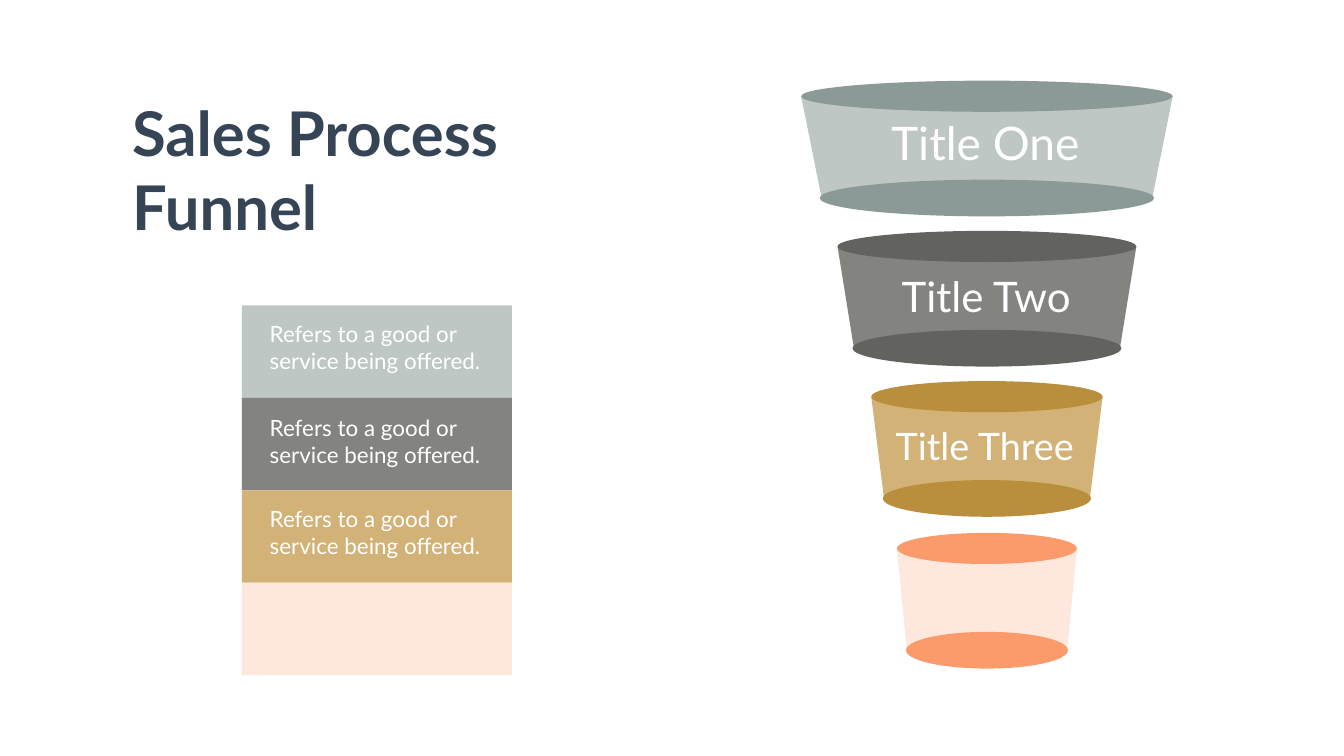
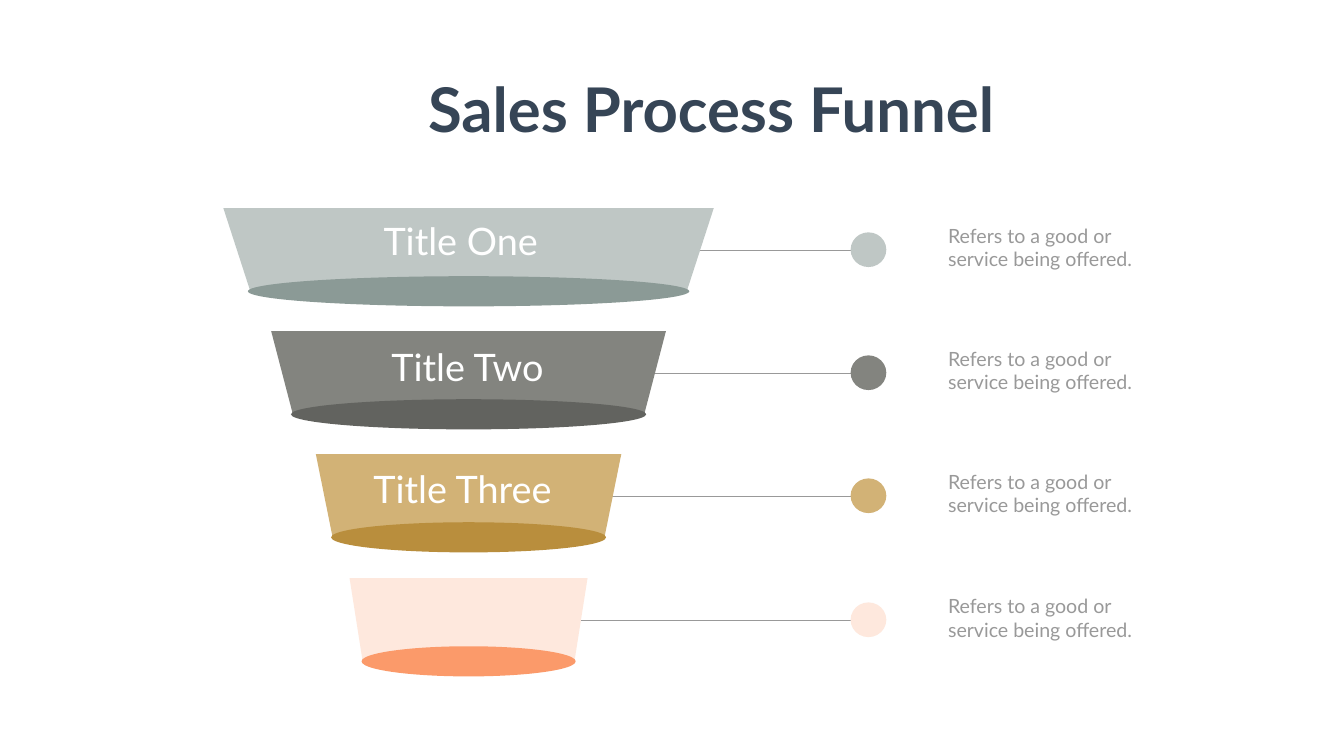
from dataclasses import dataclass

from lxml import etree
from pptx import Presentation
from pptx.dml.color import RGBColor
from pptx.enum.shapes import MSO_CONNECTOR, MSO_SHAPE
from pptx.enum.text import MSO_ANCHOR, MSO_AUTO_SIZE, PP_ALIGN
from pptx.oxml.ns import qn
from pptx.util import Cm, Pt

OVAL = MSO_SHAPE.OVAL
RECTANGLE = MSO_SHAPE.RECTANGLE
STRAIGHT = MSO_CONNECTOR.STRAIGHT
TOP = MSO_ANCHOR.TOP
NO_AUTOFIT = MSO_AUTO_SIZE.NONE
LEFT, CENTER = PP_ALIGN.LEFT, PP_ALIGN.CENTER

FONT = "Lato"
NAVY, WHITE, GRAY = "364556", "FFFFFF", "999999"
LIGHTS = ["BFC7C5", "83847F", "D2B276", "FEE8DD"]
DARKS = ["8B9A96", "62635F", "B98E3D", "FB9A6A"]
DESCRIPTION = "Refers to a good or\nservice being offered."
TITLE_ONLY = 5
BODY_TAPER, BASE_TAPER = 0.89, 0.9


@dataclass
class Stage:
    top: float
    width: float
    name: str = ""
    size: int = 0
    label_shift: float = 0
    label_drop: float = 0
    label_width: float = 0


@dataclass
class Funnel:
    center: float
    body_height: float
    lid_height: float
    base_height: float
    stages: list


CUP_FUNNEL = Funnel(49.73, 5.13, 1.57, 1.85, [
    Stage(4.85, 18.72, "Title One", 66, 0, 0.79, 10.16),
    Stage(12.42, 15.06, "Title Two", 60, 0.14, 1.09, 9.37),
    Stage(19.99, 11.66, "Title Three", 54, 0, 1.19, 9.7),
    Stage(27.64, 9.07),
])
FLAT_FUNNEL = Funnel(23.61, 4.19, 0, 1.52, [
    Stage(10.49, 24.71, "Title One", 54, -0.37, 0.36, 8.33),
    Stage(16.69, 19.89, "Title Two", 54, 0, 0.51, 8.28),
    Stage(22.89, 15.39, "Title Three", 54, -0.18, 0.46, 9.73),
    Stage(29.14, 11.99),
])


def rgb(color):
    return RGBColor.from_string(color)


def paint(shape, color):
    shape.shadow.inherit = False
    shape.fill.solid()
    shape.fill.fore_color.rgb = rgb(color)
    shape.line.fill.background()


def add_block(slide, kind, left, top, width, height, color):
    block = slide.shapes.add_shape(kind, Cm(left), Cm(top), Cm(width), Cm(height))
    paint(block, color)


def write(box, text, size, color, bold=False, align=LEFT):
    frame = box.text_frame
    frame.text = text
    frame.word_wrap = True
    frame.auto_size = NO_AUTOFIT
    frame.vertical_anchor = TOP
    for para in frame.paragraphs:
        para.alignment = align
        para.font.name = FONT
        para.font.size = Pt(size)
        para.font.bold = bold
        para.font.color.rgb = rgb(color)


def add_text(slide, left, top, width, height, text, size, color):
    box = slide.shapes.add_textbox(Cm(left), Cm(top), Cm(width), Cm(height))
    write(box, text, size, color)


def add_slide(deck, title, left, top, width, height, align):
    slide = deck.slides.add_slide(deck.slide_layouts[TITLE_ONLY])
    heading = slide.shapes.title
    heading.left, heading.top = Cm(left), Cm(top)
    heading.width, heading.height = Cm(width), Cm(height)
    write(heading, title, 88, NAVY, True, align)
    return slide


def add_body(slide, center, top, width, height, color):
    half, foot = width / 2, width * BODY_TAPER / 2
    corners = [(center + half, top), (center + foot, top + height), (center - foot, top + height)]
    outline = slide.shapes.build_freeform(Cm(center - half), Cm(top))
    outline.add_line_segments([(Cm(x), Cm(y)) for x, y in corners])
    paint(outline.convert_to_shape(), color)


def add_disc(slide, center, middle, width, height, color):
    add_block(slide, OVAL, center - width / 2, middle - height / 2, width, height, color)


def add_label(slide, center, stage):
    left = center + stage.label_shift - stage.label_width / 2
    height = stage.size * 1.2 / 72 * 2.54 + 0.25
    add_text(slide, left, stage.top + stage.label_drop, stage.label_width, height,
             stage.name, stage.size, WHITE)


def add_funnel(slide, funnel):
    for stage, light, dark in zip(funnel.stages, LIGHTS, DARKS):
        add_body(slide, funnel.center, stage.top, stage.width, funnel.body_height, light)
        if funnel.lid_height:
            add_disc(slide, funnel.center, stage.top, stage.width, funnel.lid_height, dark)
        add_disc(slide, funnel.center, stage.top + funnel.body_height,
                 stage.width * BASE_TAPER, funnel.base_height, dark)
        if stage.name:
            add_label(slide, funnel.center, stage)


def add_legend(slide, left, top, width, row_height, text_drops):
    for row, color in enumerate(LIGHTS):
        add_block(slide, RECTANGLE, left, top + row * row_height, width, row_height, color)
    for row, drop in enumerate(text_drops):
        add_text(slide, left + 1.15, top + row * row_height + drop, 11.33, 3,
                 DESCRIPTION, 32, WHITE)


def add_callouts(slide, left, funnel):
    dot_center = left + 17.17
    for stage, color in zip(funnel.stages, LIGHTS):
        middle = stage.top + funnel.body_height / 2
        leader = slide.shapes.add_connector(
            STRAIGHT, Cm(left), Cm(middle), Cm(dot_center), Cm(middle))
        leader.line.color.rgb = rgb(GRAY)
        leader.line.width = Pt(0.57)
        etree.SubElement(leader.element.spPr, qn("a:effectLst"))
        add_disc(slide, dot_center, middle, 1.8, 1.75, color)
        add_text(slide, left + 20.93, middle - 1.43, 9.83, 2.64, DESCRIPTION, 28, GRAY)


def add_legend_slide(deck):
    slide = add_slide(deck, "Sales Process\nFunnel", 6.4, 4.67, 19.28, 7.77, LEFT)
    add_legend(slide, 12.19, 15.39, 13.61, 4.66, [0.64, 0.7, 0.64])
    add_funnel(slide, CUP_FUNNEL)


def add_callout_slide(deck):
    slide = add_slide(deck, "Sales Process Funnel", 21.13, 3.45, 29.41, 4.01, CENTER)
    add_callouts(slide, 26.59, FLAT_FUNNEL)
    add_funnel(slide, FLAT_FUNNEL)


def main():
    deck = Presentation()
    deck.slide_width, deck.slide_height = Cm(67.72), Cm(38.1)
    add_legend_slide(deck)
    add_callout_slide(deck)
    deck.save("out.pptx")


if __name__ == "__main__":
    main()
